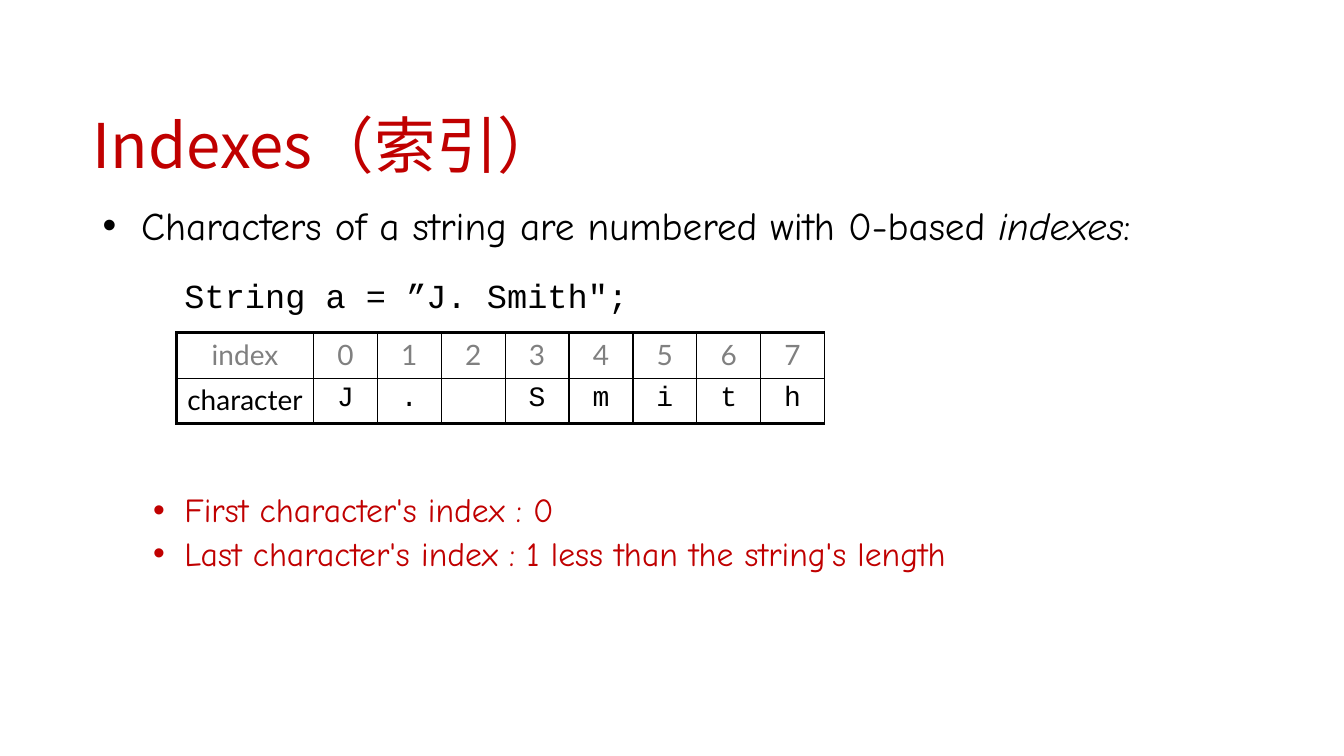
from dataclasses import dataclass

from lxml import etree
from pptx import Presentation
from pptx.dml.color import RGBColor
from pptx.enum.text import MSO_ANCHOR, PP_ALIGN
from pptx.oxml.ns import qn
from pptx.util import Cm, Pt

CENTER = PP_ALIGN.CENTER
LEFT = PP_ALIGN.LEFT
TOP = MSO_ANCHOR.TOP
BOTTOM = MSO_ANCHOR.BOTTOM
COLORS = {"red": "C00000", "black": "000000", "gray": "808080"}
HEADING, HAND, CODE, SANS = "Noto Sans CJK SC", "Comic Neue", "Courier New", "Lato"
THIN, THICK = 1, 2.25


@dataclass
class Run:
    text: str
    size: float
    font: str
    color: str = "black"
    italic: bool = False


@dataclass
class Para:
    runs: list[Run]
    before: float = 0
    left: float = 0
    hanging: float = 0
    spacing: float = 0.9
    align: PP_ALIGN = LEFT


@dataclass
class Box:
    left: float
    top: float
    width: float
    height: float
    paras: list[Para]
    anchor: MSO_ANCHOR = TOP
    side: float = 0.25


def add_run(p, run: Run) -> None:
    r = p.add_run()
    r.text = run.text
    formats = {"size": Pt(run.size), "name": run.font, "italic": run.italic}
    for name, value in formats.items():
        setattr(r.font, name, value)
    r.font.color.rgb = RGBColor.from_string(COLORS[run.color])
    etree.SubElement(r._r.get_or_add_rPr(), qn("a:ea"), typeface=run.font)


def fill_para(p, para: Para) -> None:
    formats = {
        "alignment": para.align,
        "line_spacing": para.spacing,
        "space_before": Pt(para.before),
    }
    for name, value in formats.items():
        setattr(p, name, value)
    pPr = p._p.get_or_add_pPr()
    pPr.set("marL", str(Cm(para.left)))
    pPr.set("indent", str(-Cm(para.hanging)))
    if para.hanging:
        etree.SubElement(pPr, qn("a:buFont"), typeface="Arial")
        etree.SubElement(pPr, qn("a:buChar"), char="•")
    for run in para.runs:
        add_run(p, run)


def add_box(s, box: Box) -> None:
    sp = s.shapes.add_textbox(Cm(box.left), Cm(box.top), Cm(box.width), Cm(box.height))
    tf = sp.text_frame
    formats = {
        "word_wrap": True,
        "vertical_anchor": box.anchor,
        "margin_left": Cm(box.side),
        "margin_right": Cm(box.side),
    }
    for name, value in formats.items():
        setattr(tf, name, value)
    for i, para in enumerate(box.paras):
        fill_para(tf.add_paragraph() if i else tf.paragraphs[0], para)


def set_borders(cell, widths: dict[str, float]) -> None:
    tcPr = cell._tc.get_or_add_tcPr()
    for i, (side, width) in enumerate(widths.items()):
        ln = etree.Element(qn(f"a:ln{side}"), w=str(Pt(width)))
        fill = etree.SubElement(ln, qn("a:solidFill"))
        etree.SubElement(fill, qn("a:srgbClr"), val=COLORS["black"])
        tcPr.insert(i, ln)


def add_index_table(s, text: str) -> None:
    rows = [
        [Run("index", 20, SANS, "gray")]
        + [Run(str(i), 20, SANS, "gray") for i in range(len(text))],
        [Run("character", 20, SANS)] + [Run(c.strip(), 20, CODE) for c in text],
    ]
    label, step, row_height = 3.45, 1.61, 1.15
    table = s.shapes.add_table(
        len(rows), len(rows[0]), Cm(4.45), Cm(8.38),
        Cm(label + step * len(text)), Cm(row_height * len(rows)),
    ).table
    table.first_row = table.horz_banding = False
    for i, column in enumerate(table.columns):
        column.width = Cm(step if i else label)
    for i, row in enumerate(rows):
        table.rows[i].height = Cm(row_height)
        for j, run in enumerate(row):
            cell = table.cell(i, j)
            cell.fill.background()
            runs = [run] if run.text else []
            fill_para(cell.text_frame.paragraphs[0], Para(runs, spacing=1.0, align=CENTER))
            set_borders(cell, {
                "L": THIN if j else THICK,
                "R": THIN,
                "T": THIN if i else THICK,
                "B": THICK if i else THIN,
            })


def note(text: str, before: float) -> Para:
    return Para([Run(text, 24, HAND, "red")], before, 2.06, 0.79)


title = Box(2.34, 1.02, 29.21, 3.68,
            [Para([Run("Indexes（索引）", 44, HEADING, "red")])], BOTTOM, 0)
body = Box(2.34, 5.08, 29.21, 12.09, [
    Para([
        Run("Characters of a string are numbered with 0-based ", 28, HAND),
        Run("indexes", 28, HAND, italic=True),
        Run(":", 28, HAND),
    ], 10, 0.97, 0.97),
    Para([Run("String a = ”J. Smith\";", 24, CODE)], 22, 2.06),
    note("First character's index : 0", 127),
    note("Last character's index : 1 less than the string's length", 5),
])

prs = Presentation()
prs.slide_width, prs.slide_height = Cm(33.87), Cm(19.05)
s = prs.slides.add_slide(prs.slide_layouts[6])
for box in (title, body):
    add_box(s, box)
add_index_table(s, "J. Smith")
prs.save("out.pptx")
